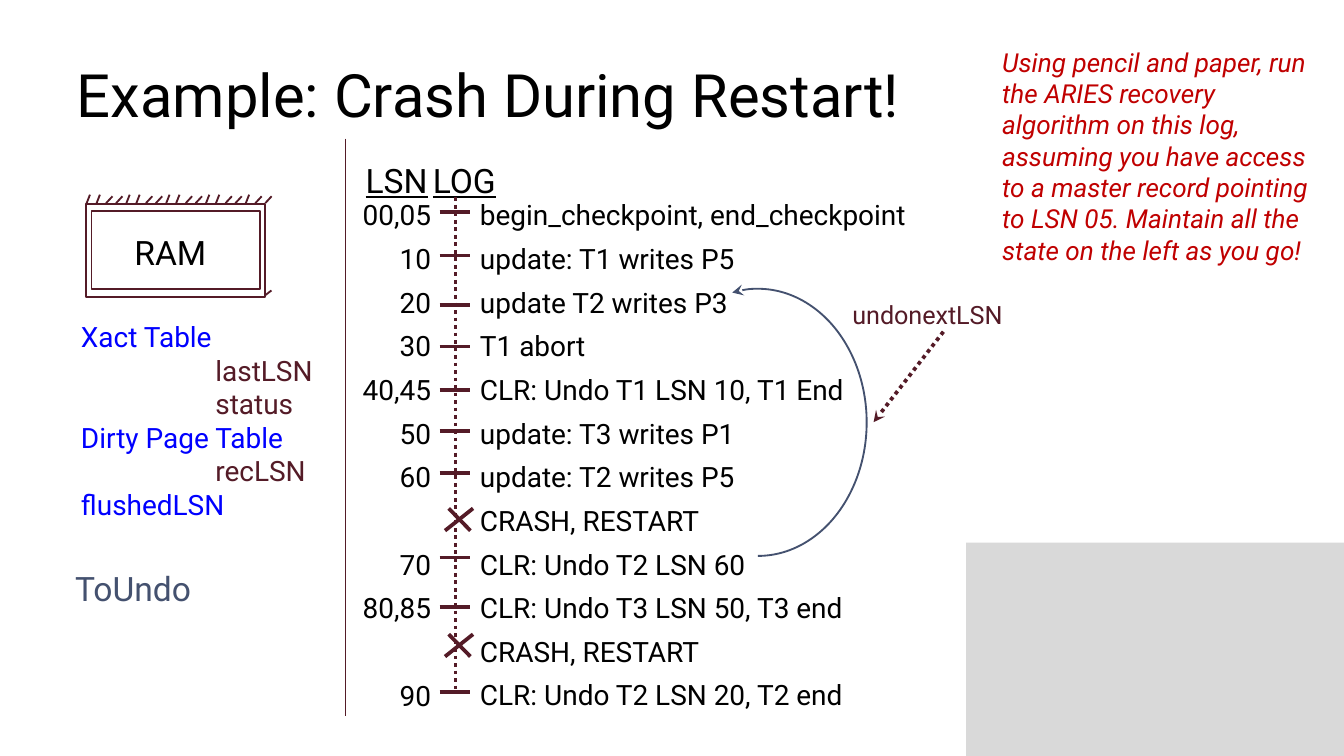
"""Build the slide on a crash during restart, with the log timeline and RAM state."""
from dataclasses import dataclass

from pptx import Presentation
from pptx.dml.color import RGBColor
from pptx.enum import dml, shapes, text
from pptx.oxml.ns import qn
from pptx.util import Cm, Pt
from lxml import etree


@dataclass(frozen=True)
class Theme:
    font: str = "Roboto"
    black: str = "000000"
    maroon: str = "541B27"
    blue: str = "0000FF"
    slate: str = "44516F"
    red: str = "C00000"
    grey: str = "D9D9D9"
    title: float = 32
    heading: float = 18
    body: float = 15
    note: float = 14
    label: float = 13.5


theme = Theme()


def write(box, place, lines, size=theme.body, color=theme.black, spacing=1.0,
          align=text.PP_ALIGN.LEFT, anchor=text.MSO_ANCHOR.TOP,
          inset=(0.18, 0.1), italic=False, underline=False):
    box.left, box.top, box.width, box.height = map(Cm, place)
    frame = box.text_frame
    frame.word_wrap, frame.auto_size = True, text.MSO_AUTO_SIZE.NONE
    frame.vertical_anchor = anchor
    frame.margin_left = frame.margin_right = Cm(inset[0])
    frame.margin_top = frame.margin_bottom = Cm(inset[1])
    frame.text = "\n".join(lines)
    for para in frame.paragraphs:
        para.alignment, para.line_spacing = align, spacing
        para.space_before = para.space_after = Pt(0)
        props = para._p.get_or_add_pPr()
        props.set("marL", "0")
        props.set("indent", "0")
        etree.SubElement(props, qn("a:buNone"))
        for span in para.runs:
            span.font.name, span.font.size = theme.font, Pt(size)
            span.font.italic, span.font.underline = italic, underline
            span.font.color.rgb = RGBColor.from_string(color)
    return frame.paragraphs


def draw_line(x1, y1, x2, y2, width=1, dash=None, arrow=False):
    line = page.shapes.add_connector(
        shapes.MSO_CONNECTOR.STRAIGHT, Cm(x1), Cm(y1), Cm(x2), Cm(y2))
    line.line.color.rgb = RGBColor.from_string(theme.maroon)
    line.line.width = Pt(width)
    if dash:
        line.line.dash_style = dash
    if arrow:
        etree.SubElement(line.line._get_or_add_ln(), qn("a:tailEnd"), type="stealth")
    etree.SubElement(line._element.spPr, qn("a:effectLst"))


deck = Presentation()
deck.slide_width, deck.slide_height = Cm(25.4), Cm(14.29)
page = deck.slides.add_slide(deck.slide_layouts[3])
title, state, log = page.placeholders

corner = page.shapes.add_shape(
    shapes.MSO_SHAPE.RECTANGLE, Cm(18.26), Cm(10.26), Cm(7.14), Cm(4.03))
corner.shadow.inherit = False
corner.fill.solid()
corner.fill.fore_color.rgb = RGBColor.from_string(theme.grey)
corner.line.fill.background()

write(title, (1.27, 0.58, 22.86, 2.39), ["Example: Crash During Restart!"],
      size=theme.title, anchor=text.MSO_ANCHOR.MIDDLE)

fields = ("lastLSN", "status", "recLSN")
state_lines = ["Xact Table", "lastLSN", "status", "Dirty Page Table", "recLSN", "flushedLSN"]
for para in write(state, (1.35, 5.94, 4.83, 4.67), state_lines, color=theme.blue):
    if para.text in fields:
        para._p.pPr.set("marL", str(Cm(2.54)))
        para.runs[0].font.color.rgb = RGBColor.from_string(theme.maroon)

write(page.shapes.add_textbox(0, 0, 0, 0), (1.24, 10.64, 2.62, 0.97), ["ToUndo"],
      size=theme.heading, color=theme.slate)
write(page.shapes.add_textbox(0, 0, 0, 0), (2.36, 4.29, 1.8, 0.97), ["RAM"],
      size=theme.heading)
draw_line(6.53, 2.62, 6.53, 13.54)

for place in ((1.63, 3.86, 3.38, 1.75), (1.73, 3.99, 3.18, 1.47)):
    frame = page.shapes.add_shape(shapes.MSO_SHAPE.RECTANGLE, *map(Cm, place))
    frame.shadow.inherit = False
    frame.fill.background()
    frame.line.color.rgb = RGBColor.from_string(theme.maroon)
    frame.line.width = Pt(1)

for tick in range(19):
    x = 1.63 + 0.188 * tick
    if tick % 4 < 2 and tick < 17:
        draw_line(x, 3.86, x + 0.07, 3.68)
    else:
        draw_line(x, 3.84, x + 0.12, 3.71)
draw_line(5, 5.59, 5.13, 5.49)

records = [
    ("00,05", "begin_checkpoint, end_checkpoint", 4.01),
    ("10", "update: T1 writes P5", 4.83),
    ("20", "update T2 writes P3", 5.77),
    ("30", "T1 abort", 6.55),
    ("40,45", "CLR: Undo T1 LSN 10, T1 End", 7.37),
    ("50", "update: T3 writes P1", 8.15),
    ("60", "update: T2 writes P5", 8.94),
    (None, "CRASH, RESTART", 9.82),
    ("70", "CLR: Undo T2 LSN 60", 10.54),
    ("80,85", "CLR: Undo T3 LSN 50, T3 end", 11.48),
    (None, "CRASH, RESTART", 12.2),
    ("90", "CLR: Undo T2 LSN 20, T2 end", 13.08),
]
write(log, (8.89, 3.45, 8.71, 10.11), [entry for _, entry, _ in records], spacing=1.3)
numbers = write(page.shapes.add_textbox(0, 0, 0, 0), (6.6, 3.45, 1.73, 10.11),
                [lsn for lsn, _, _ in records if lsn], spacing=1.3,
                align=text.PP_ALIGN.RIGHT)
for para in numbers:
    if para.text in ("70", "90"):
        para.space_before = Pt(23.4)

heading, = write(page.shapes.add_textbox(0, 0, 0, 0), (6.73, 2.92, 4.55, 0.97),
                 ["LSN\tLOG"], size=theme.heading, underline=True)
tabs = etree.SubElement(heading._p.pPr, qn("a:tabLst"))
etree.SubElement(tabs, qn("a:tab"), pos=str(Cm(2.6)), algn="l")

draw_line(8.61, 3.73, 8.61, 13.06, 2, dml.MSO_LINE.ROUND_DOT)
for lsn, _, y in records:
    if lsn:
        draw_line(8.31, y, 8.89, y, 2)
    else:
        draw_line(8.48, y - 0.21, 8.89, y + 0.21, 2)
        draw_line(8.94, y - 0.21, 8.41, y + 0.21, 2)

write(page.shapes.add_textbox(0, 0, 0, 0), (15.93, 5.56, 3.33, 0.76), ["undonextLSN"],
      size=theme.label, color=theme.maroon)
draw_line(17.83, 6.27, 16.51, 7.98, 2, dml.MSO_LINE.ROUND_DOT, arrow=True)

undo = page.shapes.add_shape(shapes.MSO_SHAPE.ARC, Cm(12.27), Cm(5.46), Cm(4.11), Cm(5.05))
undo.adjustments[0], undo.adjustments[1] = 155.28, 54
undo.shadow.inherit = False
undo.fill.background()
undo.line.color.rgb = RGBColor.from_string(theme.slate)
undo.line.width = Pt(1)
etree.SubElement(undo.line._get_or_add_ln(), qn("a:headEnd"), type="stealth")

task = ("Using pencil and paper, run the ARIES recovery algorithm on this log, "
        "assuming you have access to a master record pointing to LSN 05. "
        "Maintain all the state on the left as you go!")
write(page.shapes.add_textbox(0, 0, 0, 0), (18.69, 0.74, 6.43, 5.05), [task],
      size=theme.note, color=theme.red, inset=(0.25, 0.13), italic=True)

deck.save("out.pptx")
